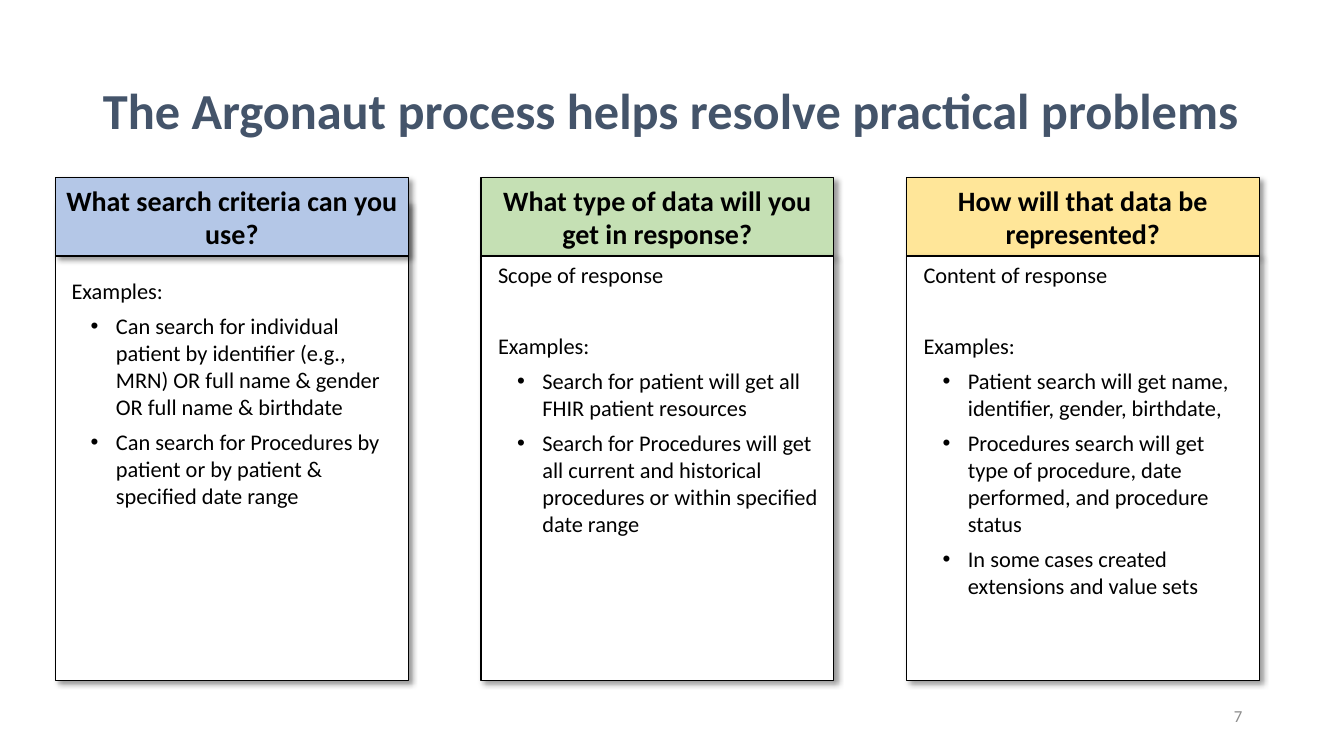
from lxml.etree import SubElement as Sub
from pptx import Presentation
from pptx.dml.color import RGBColor as RGB
from pptx.enum.shapes import MSO_SHAPE as Shape
from pptx.enum.text import MSO_ANCHOR as Anchor, MSO_AUTO_SIZE as Fit, PP_ALIGN as Align
from pptx.oxml.ns import qn
from pptx.util import Inches, Pt

BLACK, WHITE = RGB(0, 0, 0), RGB(255, 255, 255)
SLATE, GREY = RGB(0x44, 0x54, 0x6A), RGB(0x8C, 0x8C, 0x8C)
BLUE, GREEN, GOLD = RGB(0xB4, 0xC7, 0xE7), RGB(0xC5, 0xE0, 0xB4), RGB(0xFF, 0xE6, 0x99)

# Content: heading, colour, lead line, examples
TITLE = "The Argonaut process helps resolve practical problems"
PAGE = "7"
COLUMNS = [
    ("What search criteria can you use?", BLUE, None, [
        "Can search for individual patient by identifier (e.g., MRN) OR full name & gender "
        "OR full name & birthdate",
        "Can search for Procedures by patient or by patient & specified date range"]),
    ("What type of data will you get in response?", GREEN, "Scope of response", [
        "Search for patient will get all FHIR patient resources",
        "Search for Procedures will get all current and historical procedures "
        "or within specified date range"]),
    ("How will that data be represented?", GOLD, "Content of response", [
        "Patient search will get name, identifier, gender, birthdate,",
        "Procedures search will get type of procedure, date performed, and procedure status",
        "In some cases created extensions and value sets"]),
]

# Grid, in inches
LEFT, STEP, WIDE = 0.55, 4.22, 3.5
TOP, HEAD, END = 1.76, 0.78, 6.75
TUCK = 2.0  # top of the first panel, which runs under its heading


def place(shape, *box):
    shape.left, shape.top, shape.width, shape.height = map(Inches, box)


def write(para, text, size, color=BLACK, bold=False):
    run = para.add_run()
    run.text = text
    font = run.font
    font.name, font.size, font.bold = "Calibri", Pt(size), bold
    font.color.rgb = color


def style(shape, fill, line=1):
    shape.fill.solid()
    shape.fill.fore_color.rgb = fill
    shape.line.color.rgb = BLACK
    shape.line.width = Pt(line)
    shape.shadow.inherit = False
    glow = Sub(shape._element.spPr.find(qn("a:effectLst")), qn("a:outerShdw"),
               blurRad=str(Pt(4)), dist=str(Pt(3)), dir=str(45 * 60000),
               algn="tl", rotWithShape="0")
    tint = Sub(glow, qn("a:srgbClr"), val="000000")
    Sub(tint, qn("a:alpha"), val="40000")


def indent(para, bullet):
    props = para._p.get_or_add_pPr()
    props.set("marL", str(Inches(0.5 if bullet else 0.06)))
    props.set("indent", str(Inches(-0.25 if bullet else 0)))
    if bullet:
        Sub(props, qn("a:buFont"), typeface="Arial")
        Sub(props, qn("a:buChar"), char="•")
    else:
        Sub(props, qn("a:buNone"))


def fill_panel(shape, lead, items, inset=0.05, side=0.11):
    frame = shape.text_frame
    frame.word_wrap, frame.auto_size = True, Fit.NONE
    frame.vertical_anchor = Anchor.TOP
    frame.margin_left = frame.margin_right = Inches(side)
    frame.margin_top, frame.margin_bottom = Inches(inset), Inches(0.05)
    lines = [(lead, False, 0)] if lead else []
    lines.append(("Examples:", False, 31.5 if lead else 0))
    lines += [(item, True, 6) for item in items]
    for i, (text, bullet, gap) in enumerate(lines):
        para = frame.add_paragraph() if i else frame.paragraphs[0]
        indent(para, bullet)
        para.level = int(bullet)
        para.alignment = Align.LEFT
        para.space_before = Pt(gap)
        write(para, text, 16)


deck = Presentation()
deck.slide_width, deck.slide_height = Inches(13.33), Inches(7.5)
slide = deck.slides.add_slide(deck.slide_layouts[1])
title, panel = slide.placeholders

# Title
place(title, 0.92, 0.4, 11.5, 1.45)
frame = title.text_frame
frame.vertical_anchor, frame.auto_size = Anchor.MIDDLE, Fit.NONE
frame.word_wrap = True
para = frame.paragraphs[0]
para.alignment, para.line_spacing = Align.LEFT, 0.9
write(para, TITLE, 36, SLATE, True)

# First panel, in the body placeholder
base = TOP + HEAD
place(panel, LEFT, TUCK, WIDE, END - TUCK)
style(panel, WHITE, 0.75)
fill_panel(panel, *COLUMNS[0][2:], inset=0.75, side=0.1)

# Headings, and the other panels
for i, (head, color, lead, items) in enumerate(COLUMNS):
    x = LEFT + i * STEP
    bar = slide.shapes.add_shape(Shape.RECTANGLE, *map(Inches, (x, TOP, WIDE, HEAD)))
    style(bar, color)
    frame = bar.text_frame
    frame.word_wrap, frame.vertical_anchor = True, Anchor.MIDDLE
    frame.margin_top = frame.margin_bottom = Inches(0.03)
    para = frame.paragraphs[0]
    para.alignment = Align.CENTER
    write(para, head, 20, BLACK, True)
    if i:
        panel = slide.shapes.add_shape(Shape.RECTANGLE, *map(Inches, (x, base, WIDE, END - base)))
        style(panel, WHITE)
        fill_panel(panel, lead, items)

# Page number
note = slide.shapes.add_textbox(*map(Inches, (9.42, 6.95, 3, 0.4)))
frame = note.text_frame
frame.word_wrap, frame.vertical_anchor = True, Anchor.TOP
para = frame.paragraphs[0]
para.alignment = Align.RIGHT
write(para, PAGE, 12, GREY)

deck.save("out.pptx")
